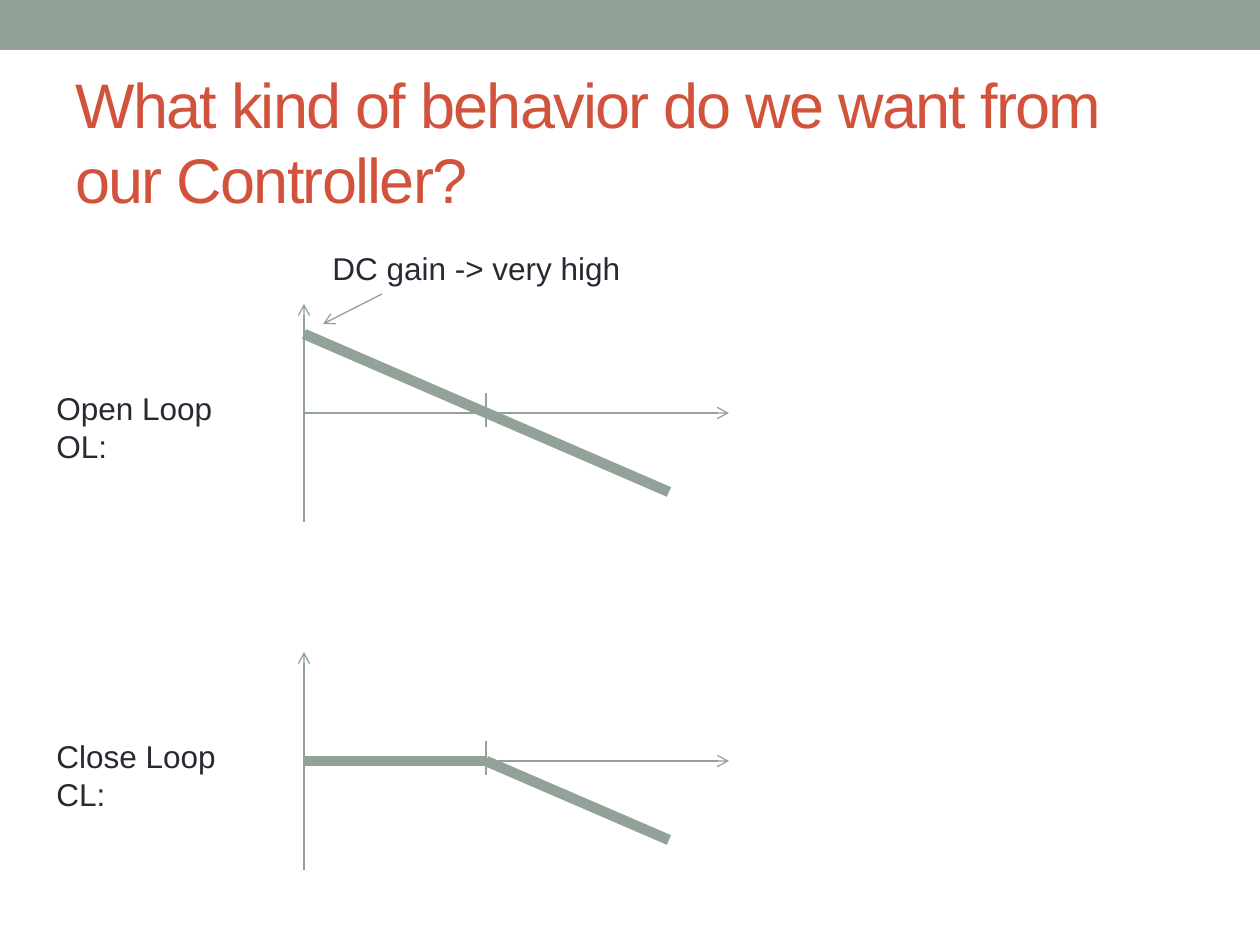
from pptx import Presentation
from pptx import util as u
from pptx.dml.color import RGBColor
from pptx.enum import shapes, text
from pptx.oxml.ns import qn
from lxml import etree

PX = 914400 // 126
COLORS = {"sage": "93A299", "title": "D2533C", "text": "292934"}
WIDTH, HEIGHT = 1260, 945

TITLE = "What kind of behavior do we want from our Controller?"
GAIN_NOTE = "DC gain -> very high"

# Gain curves are (x, y) points; y is measured from the plot's own x axis.
X_ORIGIN, X_CROSS, X_CURVE_END, X_AXIS_END = 304, 486, 669, 729
AXIS_REACH, CURVE_REACH = 109, 79
PLOTS = [
    {"label": "Open Loop\nOL:", "axis_y": 413, "label_w": 183,
     "curve": [(X_ORIGIN, -CURVE_REACH), (X_CURVE_END, CURVE_REACH)]},
    {"label": "Close Loop\nCL:", "axis_y": 761, "label_w": 186,
     "curve": [(X_ORIGIN, 0), (X_CROSS, 0), (X_CURVE_END, CURVE_REACH)]},
]


def px(n):
    return u.Emu(n * PX)


def color(name):
    return RGBColor.from_string(COLORS[name])


def add_text(s, content, box, size, name, wrap=False, spacing=None):
    tb = s.shapes.add_textbox(*map(px, box))
    tf = tb.text_frame
    tf.word_wrap = wrap
    tf.vertical_anchor = text.MSO_ANCHOR.MIDDLE if wrap else text.MSO_ANCHOR.TOP
    tf.text = content
    for p in tf.paragraphs:
        for r in p.runs:
            r.font.size = u.Pt(size)
            r.font.name = "Arial"
            r.font.color.rgb = color(name)
            if spacing is not None:
                r.font._element.set("spc", str(spacing * 100))


def add_line(s, start, end, width=0.75, arrow=False):
    c = s.shapes.add_connector(shapes.MSO_CONNECTOR.STRAIGHT,
                               *map(px, (*start, *end)))
    c.line.color.rgb = color("sage")
    c.line.width = u.Pt(width)
    if arrow:
        etree.SubElement(c.line._get_or_add_ln(), qn("a:tailEnd"), type="arrow")
    etree.SubElement(c._element.spPr, qn("a:effectLst"))


def add_plot(s, plot):
    y = plot["axis_y"]
    add_line(s, (X_ORIGIN, y), (X_AXIS_END, y), arrow=True)
    add_line(s, (X_ORIGIN, y + AXIS_REACH), (X_ORIGIN, y - AXIS_REACH), arrow=True)
    add_text(s, plot["label"], (44, y - 30, plot["label_w"], 89), 18, "text")
    for (x1, y1), (x2, y2) in zip(plot["curve"], plot["curve"][1:]):
        add_line(s, (x1, y + y1), (x2, y + y2), width=6)
    add_line(s, (X_CROSS, y - 20), (X_CROSS, y + 14))


def main():
    prs = Presentation()
    prs.slide_width, prs.slide_height = px(WIDTH), px(HEIGHT)
    s = prs.slides.add_slide(prs.slide_layouts[6])

    band = s.shapes.add_shape(shapes.MSO_SHAPE.RECTANGLE, 0, 0, px(WIDTH), px(50))
    band.shadow.inherit = False
    band.fill.solid()
    band.fill.fore_color.rgb = color("sage")
    band.line.fill.background()

    add_text(s, TITLE, (63, 73, 1134, 136), 36, "title", wrap=True, spacing=-1)
    for plot in PLOTS:
        add_plot(s, plot)
    add_text(s, GAIN_NOTE, (320, 243, 316, 50), 18, "text")
    add_line(s, (382, 294), (323, 324), arrow=True)

    prs.save("out.pptx")


if __name__ == "__main__":
    main()
